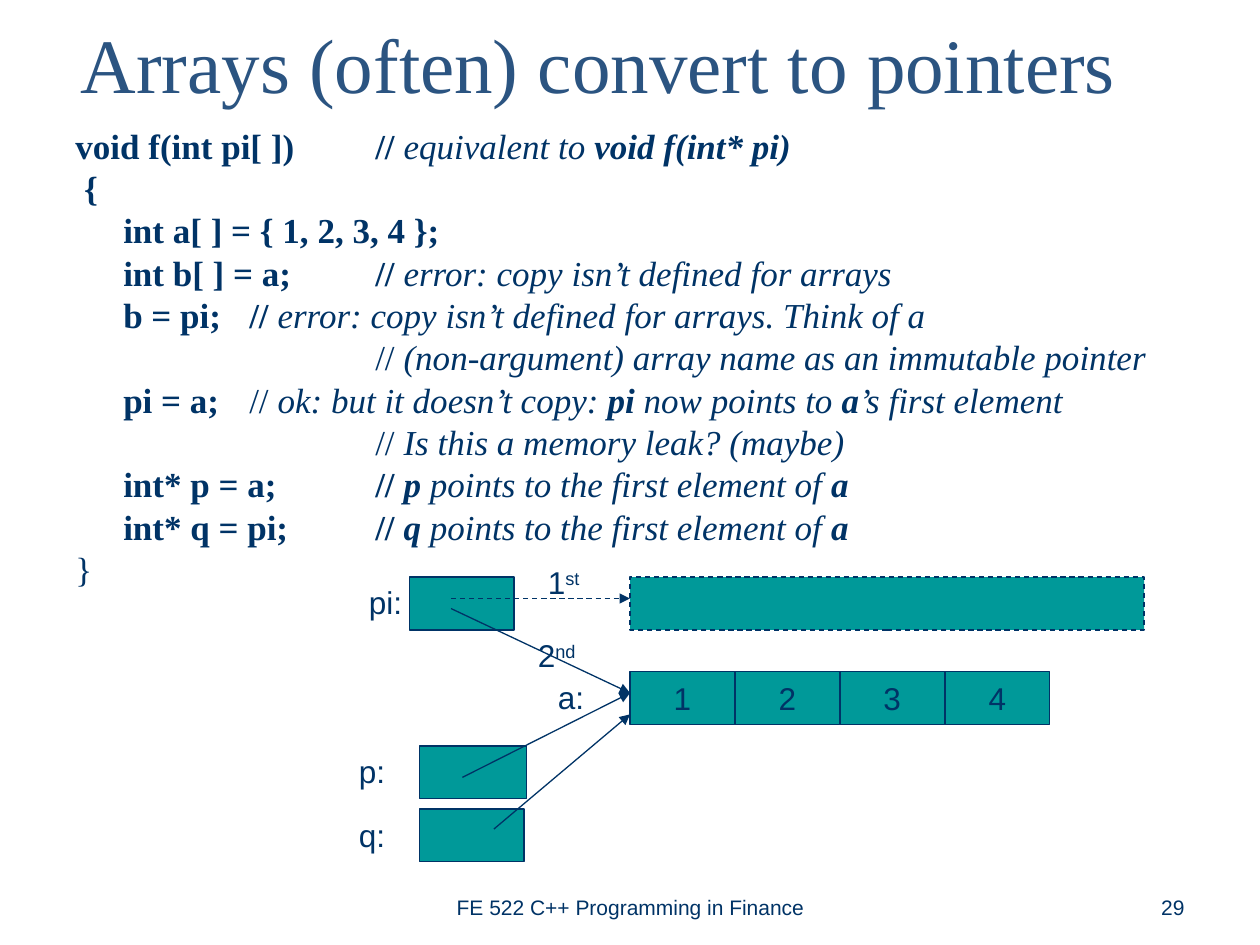
from lxml import etree
from pptx import Presentation
from pptx import util as u
from pptx.dml.color import RGBColor
from pptx.enum import dml, shapes, text
from pptx.oxml import ns

COLORS = {"title": "2B5481", "ink": "003366", "box": "009999"}
SERIF, SANS = "Times New Roman", "Arial"
ALIGN, ANCHOR = text.PP_ALIGN, text.MSO_ANCHOR
LABEL = {"space_before": u.Pt(11.2)}
CENTER = {"alignment": ALIGN.CENTER}

presentation = Presentation()
presentation.slide_width = u.Inches(10)
presentation.slide_height = u.Inches(7.5)
slide = presentation.slides.add_slide(presentation.slide_layouts[6])


def write(paragraph, runs, size, font_name, color="ink", layout={}):
    for name, value in layout.items():
        setattr(paragraph, name, value)
    for words, style in runs:
        run = paragraph.add_run()
        run.text = words
        run.font.color.rgb = RGBColor.from_string(COLORS[color])
        formats = {"size": u.Pt(size), "name": font_name,
                   "bold": "b" in style, "italic": "i" in style}
        for name, value in formats.items():
            setattr(run.font, name, value)
        if "^" in style:
            run._r.get_or_add_rPr().set("baseline", "30000")


def add_text_box(bounds, **frame_formats):
    shape = slide.shapes.add_textbox(*map(u.Inches, bounds))
    for name, value in {"word_wrap": True, **frame_formats}.items():
        setattr(shape.text_frame, name, value)
    return shape.text_frame


title = add_text_box((0, -0.25, 9.5, 1.5), vertical_anchor=ANCHOR.MIDDLE)
write(title.paragraphs[0], [("Arrays (often) convert to pointers", "")],
      44, SERIF, "title", CENTER)

code_lines = [
    [("void f(int pi[ ])\t// ", "b"), ("equivalent to", "i"), (" void f(int* pi)", "bi")],
    [(" {", "b")],
    [("\tint a[ ] = { 1, 2, 3, 4 };", "b")],
    [("\tint b[ ] = a;\t// ", "b"), ("error: copy isn’t defined for arrays", "i")],
    [("\tb = pi;\t// ", "b"), ("error: copy isn’t defined for arrays. Think of a", "i")],
    [("\t\t\t// ", ""), ("(non-argument) array name as an immutable pointer", "i")],
    [("\tpi = a;\t", "b"), ("// ", ""), ("ok: but it doesn’t copy: ", "i"), ("pi", "bi"),
     (" now points to ", "i"), ("a", "bi"), ("’s first element", "i")],
    [("\t\t\t// ", ""), ("Is this a memory leak? (maybe)", "i")],
    [("\tint* p = a;\t// ", "b"), ("p", "bi"),
     (" points to the first element of ", "i"), ("a", "bi")],
    [("\tint* q = pi;\t// ", "b"), ("q ", "bi"),
     ("points to the first element of ", "i"), ("a", "bi")],
    [("}", "")],
]
code = add_text_box((0.5, 1, 9.92, 3.83))
for index, runs in enumerate(code_lines):
    paragraph = code.add_paragraph() if index else code.paragraphs[0]
    write(paragraph, runs, 20, SERIF,
          layout={"line_spacing": 0.8, "space_before": u.Pt(5)})
    properties = paragraph._p.get_or_add_pPr()
    for name, length in {"marL": 0.38, "indent": -0.38, "defTabSz": 1}.items():
        properties.set(name, str(u.Inches(length)))
    tab_list = etree.SubElement(properties, ns.qn("a:tabLst"))
    for position in range(8):
        etree.SubElement(tab_list, ns.qn("a:tab"), pos=str(u.Inches(position)), algn="l")

cell_width, box_height = 0.83, 0.42
boxes = [
    (3.25, 4.58, cell_width, "", False),
    (5, 4.58, 4.08, "", True),
    (3.33, 5.92, 0.85, "", False),
    (3.33, 6.42, cell_width, "", False),
]
boxes += [(5 + index * 2.5 / 3, 5.33, cell_width, str(index + 1), False)
          for index in range(4)]
for left, top, width, value, dashed in boxes:
    shape = slide.shapes.add_shape(
        shapes.MSO_SHAPE.RECTANGLE, *map(u.Inches, (left, top, width, box_height)))
    shape.shadow.inherit = False
    shape.fill.solid()
    shape.fill.fore_color.rgb = RGBColor.from_string(COLORS["box"])
    shape.line.color.rgb = RGBColor.from_string(COLORS["ink"])
    shape.line.width = u.Pt(0.75)
    if dashed:
        shape.line.dash_style = dml.MSO_LINE.DASH
    if value:
        shape.text_frame.word_wrap = False
        shape.text_frame.vertical_anchor = ANCHOR.MIDDLE
        write(shape.text_frame.paragraphs[0], [(value, "")], 18, SANS, layout=CENTER)

labels = [
    (2.83, 4.58, 0.67, [("pi:", "")]),
    (4.33, 5.33, 0.67, [("a:", "")]),
    (2.75, 5.92, 0.75, [("p:", "")]),
    (2.75, 6.43, 0.67, [("q:", "")]),
    (4.25, 4.42, 0.5, [("1", ""), ("st", "^")]),
    (4.17, 5, 0.75, [("2", ""), ("nd", "^")]),
]
for left, top, width, runs in labels:
    label = add_text_box((left, top, width, 0.4),
                         auto_size=text.MSO_AUTO_SIZE.SHAPE_TO_FIT_TEXT)
    write(label.paragraphs[0], runs, 18, SANS, layout=LABEL)

arrows = [
    (3.58, 4.75, 5, 4.75, True),
    (3.58, 4.83, 5, 5.5, False),
    (3.67, 6.17, 5, 5.5, False),
    (3.92, 6.58, 5, 5.67, False),
]
for *ends, dashed in arrows:
    arrow = slide.shapes.add_connector(shapes.MSO_CONNECTOR.STRAIGHT, *map(u.Inches, ends))
    arrow.line.color.rgb = RGBColor.from_string(COLORS["ink"])
    arrow.line.width = u.Pt(0.75)
    if dashed:
        arrow.line.dash_style = dml.MSO_LINE.DASH
    etree.SubElement(arrow.line._get_or_add_ln(), ns.qn("a:tailEnd"), type="triangle")
    etree.SubElement(arrow._element.spPr, ns.qn("a:effectLst"))

footers = [
    (3.42, 3.17, "FE 522 C++ Programming in Finance", ALIGN.CENTER),
    (7.17, 2.33, "29", ALIGN.RIGHT),
]
for left, width, words, alignment in footers:
    footer = add_text_box((left, 6.83, width, 0.52), vertical_anchor=ANCHOR.BOTTOM)
    write(footer.paragraphs[0], [(words, "")], 12, SANS, layout={"alignment": alignment})

presentation.save("out.pptx")
